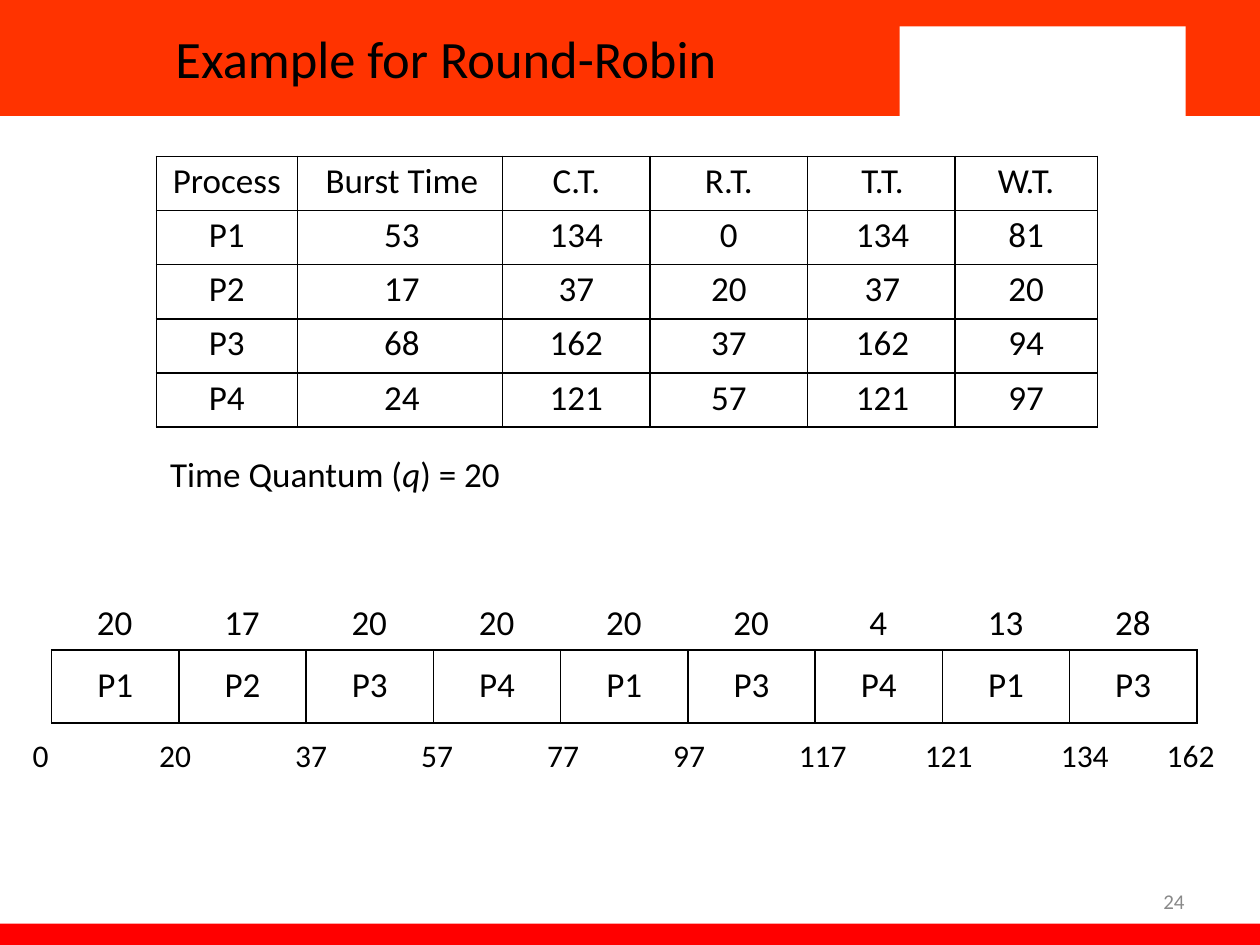
from pptx import Presentation
from pptx.dml.color import RGBColor
from pptx.enum.shapes import MSO_SHAPE
from pptx.enum.text import MSO_ANCHOR, PP_ALIGN
from pptx.oxml import parse_xml
from pptx.oxml.ns import nsdecls
from pptx.util import Inches, Pt

BLACK = RGBColor(0, 0, 0)
WHITE = RGBColor(255, 255, 255)
GRAY = RGBColor(0x89, 0x89, 0x89)
ORANGE = RGBColor(0xFF, 0x33, 0)
RED = RGBColor(255, 0, 0)
LEFT, MID, RIGHT = PP_ALIGN.LEFT, PP_ALIGN.CENTER, PP_ALIGN.RIGHT
WIDE, HIGH = 10, 7.5
BAND = 0.92


def write(frame, text, size=20, color=BLACK, align=LEFT, anchor=MSO_ANCHOR.TOP,
          pads=(0.01, 0.01, 0, 0), space=None):
    """Fill a frame or cell; parts between asterisks become italic."""
    frame.margin_left, frame.margin_top, frame.margin_right, frame.margin_bottom = map(Inches, pads)
    frame.vertical_anchor = anchor
    frame.word_wrap = True
    body = getattr(frame, "text_frame", frame)
    para = body.paragraphs[0]
    para.alignment = align
    if space:
        para.line_spacing = space
    for i, part in enumerate(text.split("*")):
        run = para.add_run()
        run.text = part
        font = run.font
        font.name, font.size, font.italic = "Calibri", Pt(size), i % 2 == 1
        font.color.rgb = color


def grid(left, top, cols, tall, rows, forms, line=True, **look):
    """Add a table; forms holds align, left pad, top pad, right pad per column."""
    table = slide.shapes.add_table(len(rows), len(cols), Inches(left), Inches(top),
                                   Inches(sum(cols)), Inches(tall * len(rows))).table
    table.first_row = table.horz_banding = False
    for col, wide in zip(table.columns, cols):
        col.width = Inches(wide)
    paint = '<a:solidFill><a:srgbClr val="000000"/></a:solidFill>' if line else "<a:noFill/>"
    for r, row in enumerate(rows):
        table.rows[r].height = Inches(tall)
        for c, text in enumerate(row):
            cell = table.cell(r, c)
            align, *pads = forms[c]
            write(cell, text, align=align, pads=(*pads, 0), **look)
            cell.fill.background()
            for i, side in enumerate(("lnL", "lnR", "lnT", "lnB")):
                edge = f'<a:{side} {nsdecls("a")} w="12700">{paint}</a:{side}>'
                cell._tc.get_or_add_tcPr().insert(i, parse_xml(edge))


deck = Presentation()
deck.slide_width, deck.slide_height = Inches(WIDE), Inches(HIGH)
slide = deck.slides.add_slide(deck.slide_layouts[6])

# Bands, with a blank panel at the top right
for box, color in (
    ((0, 0, WIDE, BAND), ORANGE),
    ((0, 7.33, WIDE, 0.22), RED),
    ((7.14, 0.21, 2.27, 0.75), WHITE),
):
    band = slide.shapes.add_shape(MSO_SHAPE.RECTANGLE, *map(Inches, box))
    band.shadow.inherit = False
    band.fill.solid()
    band.fill.fore_color.rgb = color
    band.line.fill.background()

# Process table
procs = [
    ("Process", "Burst Time", "C.T.", "R.T.", "T.T.", "W.T."),
    ("P1", "53", "134", "0", "134", "81"),
    ("P2", "17", "37", "20", "37", "20"),
    ("P3", "68", "162", "37", "162", "94"),
    ("P4", "24", "121", "57", "121", "97"),
]
plain = (MID, 0, 0.03, 0)
grid(1.24, 1.24, (1.12, 1.63, 1.17, 1.25, 1.17, 1.13), 0.43, procs,
     [plain, (MID, 0.03, 0.03, 0), plain, plain, (MID, 0.02, 0.03, 0), plain])

# Gantt chart: slots, their lengths above, the clock below
slots = ("P1", "P2", "P3", "P4", "P1", "P3", "P4", "P1", "P3")
spans = (20, 17, 20, 20, 20, 20, 4, 13, 28)
start, step = 0.41, 1.01
grid(start, 5.16, [step] * len(slots), 0.58, [slots], [(MID, 0, 0.11, 0)] * len(slots))

times = [str(sum(spans[:i])) for i in range(len(spans) + 1)]
forms = [(LEFT, 0.03, 0, 0), (MID, 0.02, 0, 0), (MID, 0.04, 0, 0)]
forms += [(MID, 0, 0, 0)] * 3
forms += [(LEFT, pad, 0, 0) for pad in (0.37, 0.31, 0.35, 0.23)]
grid(0.23, 5.86, (0.6, 1.1, 1.04, 1, 1, 1, 1.06, 1.04, 0.96, 0.64), 0.28,
     [times], forms, line=False, size=18, space=0.94)

# Free text
middle = {"anchor": MSO_ANCHOR.MIDDLE, "pads": (0.1, 0.05, 0.1, 0.05)}
notes = [
    ((0, 0, 7.08, BAND), "Example for Round-Robin", {"size": 30, "align": MID, **middle}),
    ((1.34, 3.58, 2.65, 0.36), "Time Quantum (*q*) = 20", {}),
    ((7.17, 6.95, 2.33, 0.4), "24", {"size": 12, "color": GRAY, "align": RIGHT, **middle}),
]
for i, span in enumerate(spans):
    wide = 0.03 + 0.14 * len(str(span))
    notes.append(((start + (i + 0.5) * step - wide / 2, 4.76, wide, 0.36), str(span), {}))
for box, text, look in notes:
    write(slide.shapes.add_textbox(*map(Inches, box)).text_frame, text, **look)

deck.save("out.pptx")
